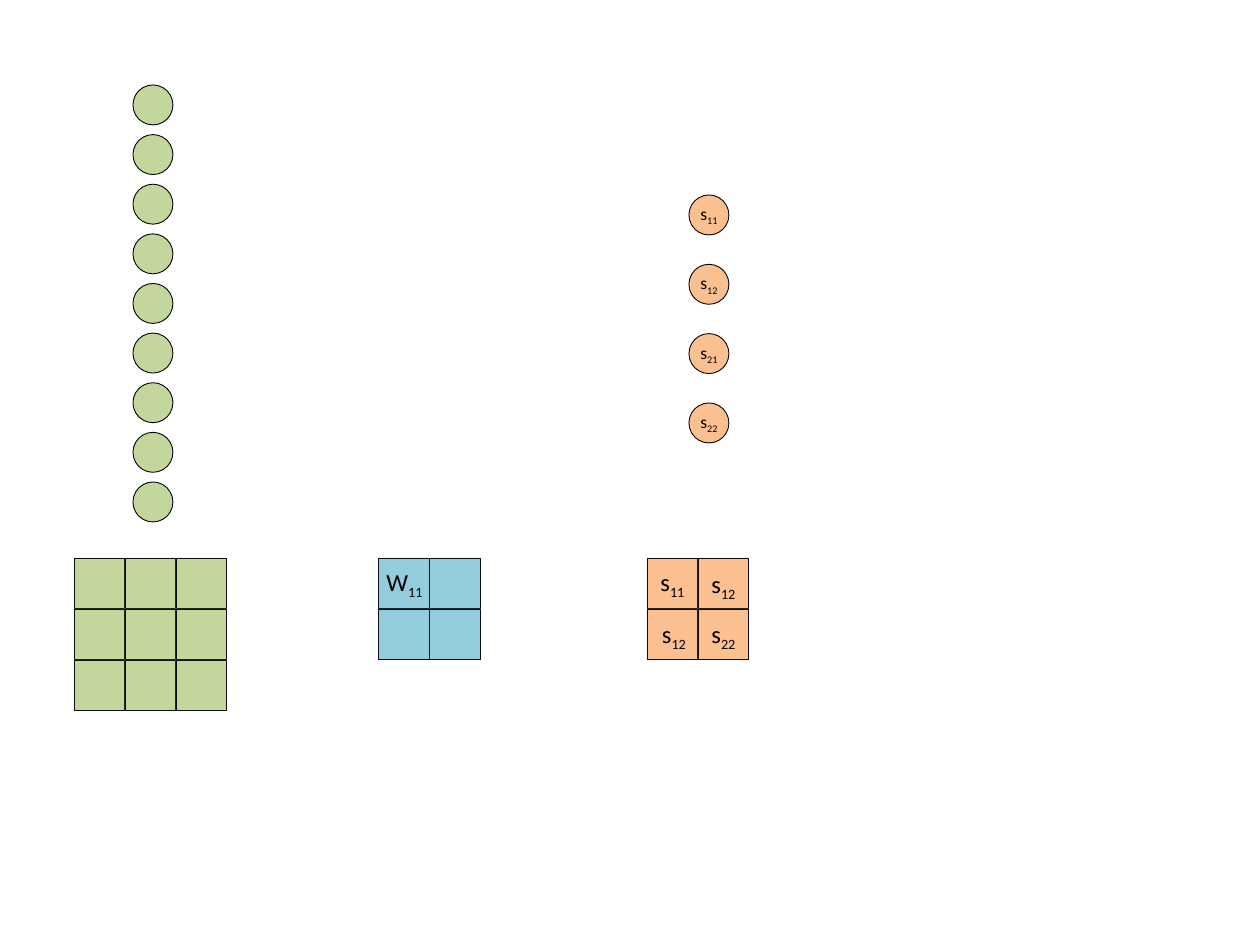
from dataclasses import dataclass

import pptx
import pptx.dml.color
import pptx.enum.shapes
import pptx.enum.text
import pptx.shapes.autoshape
import pptx.util

RGBColor = pptx.dml.color.RGBColor
Shape = pptx.enum.shapes.MSO_SHAPE

GREEN = RGBColor(0xC3, 0xD6, 0x9B)
BLUE = RGBColor(0x93, 0xCD, 0xDD)
ORANGE = RGBColor(0xFA, 0xC0, 0x90)
BLACK = RGBColor(0x00, 0x00, 0x00)
NEAR_BLACK = RGBColor(0x0D, 0x0D, 0x0D)

PX = 914400 / 126
NEURON_SIZE = 40
CELL_SIZE = 51
GRID_TOP = 558


@dataclass(frozen=True)
class Label:
    symbol: str
    index: str
    inset_left: int = 0
    inset_top: int = 0


@dataclass(frozen=True)
class NeuronColumn:
    left: int
    first_top: int
    last_top: int
    count: int
    fill: RGBColor
    labels: tuple[Label, ...] = ()


@dataclass(frozen=True)
class Grid:
    left: int
    side: int
    fill: RGBColor
    labels: tuple[Label, ...] = ()


INPUT_NEURONS = NeuronColumn(133, 85, 482, 9, GREEN)
INPUT_GRID = Grid(74, 3, GREEN)
OUTPUT_NEURONS = NeuronColumn(
    689, 195, 403, 4, ORANGE,
    tuple(Label("s", index) for index in ("11", "12", "21", "22")),
)
WEIGHT_GRID = Grid(379, 2, BLUE, (Label("W", "11"),))
OUTPUT_GRID = Grid(
    647, 2, ORANGE,
    (
        Label("s", "11"),
        Label("s", "12", inset_top=5),
        Label("s", "12", inset_left=3, inset_top=3),
        Label("s", "22", inset_top=3),
    ),
)


def px(length: float) -> pptx.util.Emu:
    return pptx.util.Emu(round(length * PX))


def add_outlined(
    shapes, kind: Shape, left: float, top: float, size: int,
    fill: RGBColor, outline: RGBColor,
) -> pptx.shapes.autoshape.Shape:
    shape = shapes.add_shape(kind, px(left), px(top), px(size), px(size))
    shape.shadow.inherit = False
    shape.fill.solid()
    shape.fill.fore_color.rgb = fill
    shape.line.color.rgb = outline
    shape.line.width = pptx.util.Pt(0.5)
    return shape


def write_label(shape: pptx.shapes.autoshape.Shape, label: Label, points: int) -> None:
    """Write a symbol followed by its subscript index, centred in the shape."""
    frame = shape.text_frame
    frame.word_wrap = True
    frame.vertical_anchor = pptx.enum.text.MSO_ANCHOR.MIDDLE
    frame.margin_left, frame.margin_top = px(label.inset_left), px(label.inset_top)
    frame.margin_right = frame.margin_bottom = 0
    paragraph = frame.paragraphs[0]
    paragraph.alignment = pptx.enum.text.PP_ALIGN.CENTER
    for text in (label.symbol, label.index):
        run = paragraph.add_run()
        run.text = text
        run.font.name = "Calibri"
        run.font.size = pptx.util.Pt(points)
        run.font.color.rgb = BLACK
    run.font._element.set("baseline", "-25000")


def draw_neurons(shapes, column: NeuronColumn) -> None:
    pitch = (column.last_top - column.first_top) / (column.count - 1)
    for row in range(column.count):
        neuron = add_outlined(
            shapes, Shape.OVAL, column.left, column.first_top + row * pitch,
            NEURON_SIZE, column.fill, BLACK,
        )
        if row < len(column.labels):
            write_label(neuron, column.labels[row], 10)


def draw_grid(shapes, grid: Grid) -> None:
    group = shapes.add_group_shape()
    for position in range(grid.side ** 2):
        row, col = divmod(position, grid.side)
        cell = add_outlined(
            group.shapes, Shape.RECTANGLE, grid.left + col * CELL_SIZE,
            GRID_TOP + row * CELL_SIZE, CELL_SIZE, grid.fill, NEAR_BLACK,
        )
        if position < len(grid.labels):
            write_label(cell, grid.labels[position], 14)


def main() -> None:
    presentation = pptx.Presentation()
    presentation.slide_width = px(1260)
    presentation.slide_height = px(945)
    blank_layout = presentation.slide_layouts[6]
    shapes = presentation.slides.add_slide(blank_layout).shapes

    draw_neurons(shapes, INPUT_NEURONS)
    draw_grid(shapes, INPUT_GRID)
    draw_neurons(shapes, OUTPUT_NEURONS)
    draw_grid(shapes, WEIGHT_GRID)
    draw_grid(shapes, OUTPUT_GRID)

    presentation.save("out.pptx")


if __name__ == "__main__":
    main()
